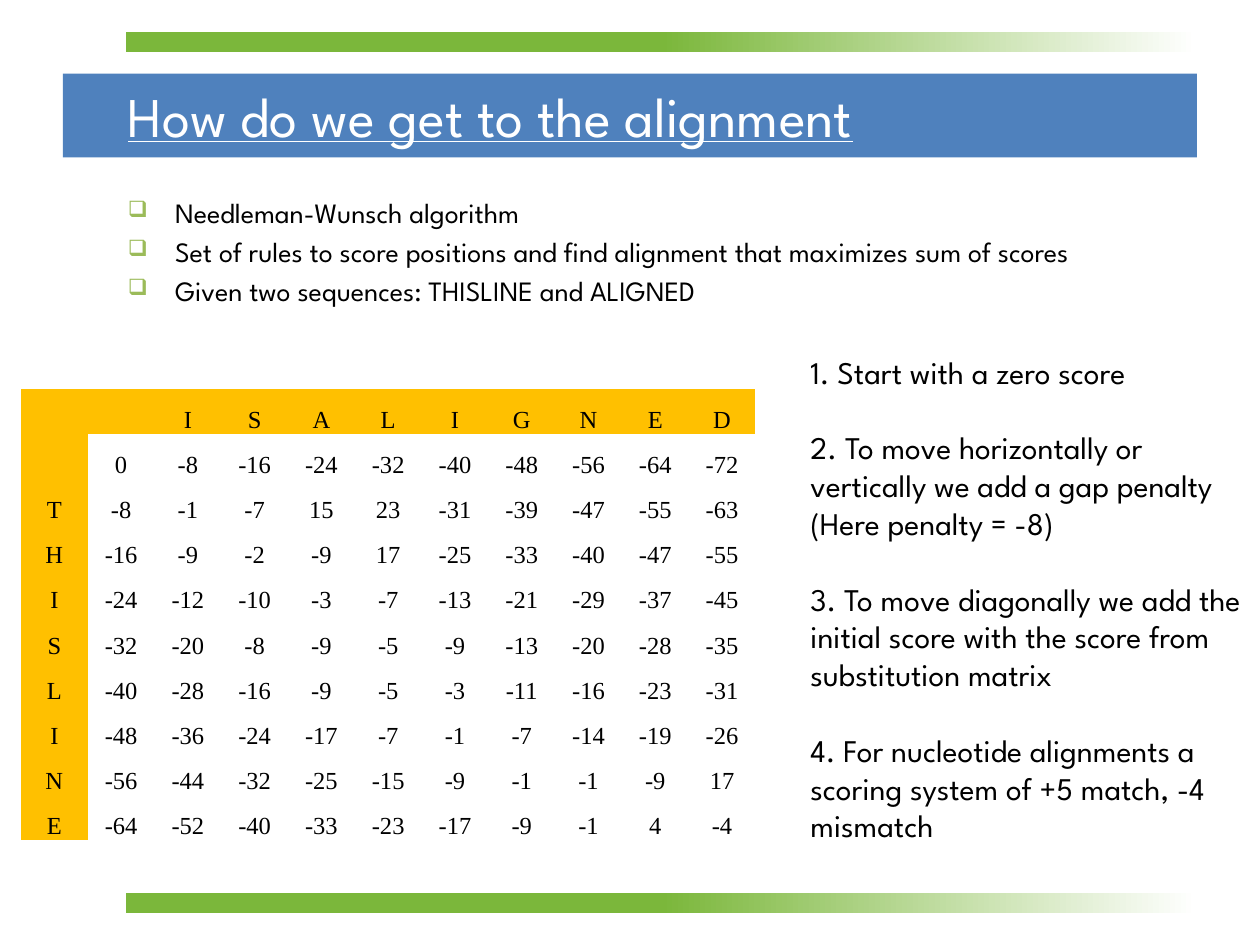
from lxml.etree import SubElement
from pptx import Presentation
from pptx.dml.color import RGBColor
from pptx.enum.shapes import MSO_SHAPE as SHAPE
from pptx.enum.text import MSO_ANCHOR as ANCHOR, PP_ALIGN as ALIGN
from pptx.oxml.ns import qn
from pptx.util import Pt

BLUE = RGBColor(0x4F, 0x81, 0xBD)
GREEN = RGBColor(0x7B, 0xB7, 0x3B)
AMBER = RGBColor(0xFF, 0xC0, 0x00)
WHITE = RGBColor(0xFF, 0xFF, 0xFF)
BLACK = RGBColor(0x00, 0x00, 0x00)
BULLET_GREEN = RGBColor(0x9B, 0xBB, 0x59)

SANS = "League Spartan"
SERIF = "Times New Roman"
NO_GRID_STYLE = "{2D5ABB26-0587-4C30-8999-92F81FD0307C}"

BULLETS = [
    "Needleman-Wunsch algorithm",
    "Set of rules to score positions and find alignment that maximizes sum of scores",
    "Given two sequences: THISLINE and ALIGNED",
]
STEPS = [
    "1. Start with a zero score",
    "2. To move horizontally or vertically we add a gap penalty (Here penalty = -8)",
    "3. To move diagonally we add the initial score with the score from substitution matrix",
    "4. For nucleotide alignments a scoring system of +5 match, -4 mismatch",
]
TOP_SEQUENCE = "ISALIGNED"
SIDE_SEQUENCE = "THISLINE"
SCORES = [
    [0, -8, -16, -24, -32, -40, -48, -56, -64, -72],
    [-8, -1, -7, 15, 23, -31, -39, -47, -55, -63],
    [-16, -9, -2, -9, 17, -25, -33, -40, -47, -55],
    [-24, -12, -10, -3, -7, -13, -21, -29, -37, -45],
    [-32, -20, -8, -9, -5, -9, -13, -20, -28, -35],
    [-40, -28, -16, -9, -5, -3, -11, -16, -23, -31],
    [-48, -36, -24, -17, -7, -1, -7, -14, -19, -26],
    [-56, -44, -32, -25, -15, -9, -1, -1, -9, 17],
    [-64, -52, -40, -33, -23, -17, -9, -1, 4, -4],
]


def add_bullet(p, indent=27):
    """Give a paragraph a green box bullet with a hanging indent."""
    pPr = p._p.get_or_add_pPr()
    pPr.set("marL", str(Pt(indent)))
    pPr.set("indent", str(-Pt(indent)))
    color = SubElement(pPr, qn("a:buClr"))
    SubElement(color, qn("a:srgbClr"), val=str(BULLET_GREEN))
    SubElement(pPr, qn("a:buSzPct"), val="80000")
    SubElement(pPr, qn("a:buChar"), char="❑")


def write(tf, lines, size=18, font=SANS, color=BLACK, underline=None,
          align=ALIGN.LEFT, gap=0, bullet=False):
    """Fill a text frame with one paragraph per line."""
    tf.word_wrap = True
    for i, line in enumerate(lines):
        p = tf.add_paragraph() if i else tf.paragraphs[0]
        if bullet:
            add_bullet(p)
        p.alignment = align
        if i and gap:
            p.space_before = Pt(gap)
        r = p.add_run()
        r.text = line
        r.font.size = Pt(size)
        r.font.name = font
        r.font.color.rgb = color
        r.font.underline = underline


def add_text(slide, box, lines, anchor=ANCHOR.TOP, **style):
    """Place a text box in the given box."""
    tf = slide.shapes.add_textbox(*map(Pt, box)).text_frame
    tf.vertical_anchor = anchor
    write(tf, lines, **style)


def add_bar(slide, box):
    """Place a plain rectangle and return it."""
    s = slide.shapes.add_shape(SHAPE.RECTANGLE, *map(Pt, box))
    s.shadow.inherit = False
    s.line.fill.background()
    return s


def add_fading_bar(slide, box):
    """Place a green bar that fades to white on its right half."""
    fill = add_bar(slide, box).fill
    fill.gradient()
    fill.gradient_angle = 0
    for stop, position, color in zip(fill.gradient_stops, (0.5, 1), (GREEN, WHITE)):
        stop.position = position
        stop.color.rgb = color


def add_title(slide, box, title):
    """Place the blue banner and the underlined title on it."""
    left, top, width, height = box
    s = add_bar(slide, box)
    s.fill.solid()
    s.fill.fore_color.rgb = BLUE
    add_text(slide, (left + 30, top, width - 30, height), [title],
             anchor=ANCHOR.MIDDLE, size=32, color=WHITE, underline=True)


def add_score_table(slide, box):
    """Place the alignment score matrix with its two sequences as headings."""
    rows = [["", "", *TOP_SEQUENCE]]
    rows += [[head, *scores] for head, scores in zip(["", *SIDE_SEQUENCE], SCORES)]
    width, height = box[2:]
    table = slide.shapes.add_table(len(rows), len(rows[0]), *map(Pt, box)).table
    table.first_row = table.horz_banding = False
    table._tbl.tblPr.find(qn("a:tableStyleId")).text = NO_GRID_STYLE
    for column in table.columns:
        column.width = Pt(width / len(rows[0]))
    for i, values in enumerate(rows):
        table.rows[i].height = Pt(height / len(rows))
        for j, value in enumerate(values):
            cell = table.cell(i, j)
            cell.margin_left = cell.margin_right = cell.margin_top = Pt(0.7)
            cell.margin_bottom = Pt(0)
            cell.vertical_anchor = ANCHOR.BOTTOM
            if i == 0 or j == 0:
                cell.fill.solid()
                cell.fill.fore_color.rgb = AMBER
            else:
                cell.fill.background()
            write(cell.text_frame, [str(value)], size=14, font=SERIF,
                  align=ALIGN.CENTER)


def main():
    """Build the slide and save it."""
    prs = Presentation()
    prs.slide_width, prs.slide_height = Pt(720), Pt(540)
    slide = prs.slides.add_slide(prs.slide_layouts[6])
    for top in (18, 510):
        add_fading_bar(slide, (72, top, 612, 12))
    add_title(slide, (36, 42, 648, 48), "How do we get to the alignment")
    add_score_table(slide, (12, 222, 420, 258))
    add_text(slide, (66, 108, 618, 102), BULLETS, size=16, gap=3.2, bullet=True)
    add_text(slide, (456, 198, 264, 334), STEPS, gap=21.6)
    prs.save("out.pptx")


if __name__ == "__main__":
    main()
